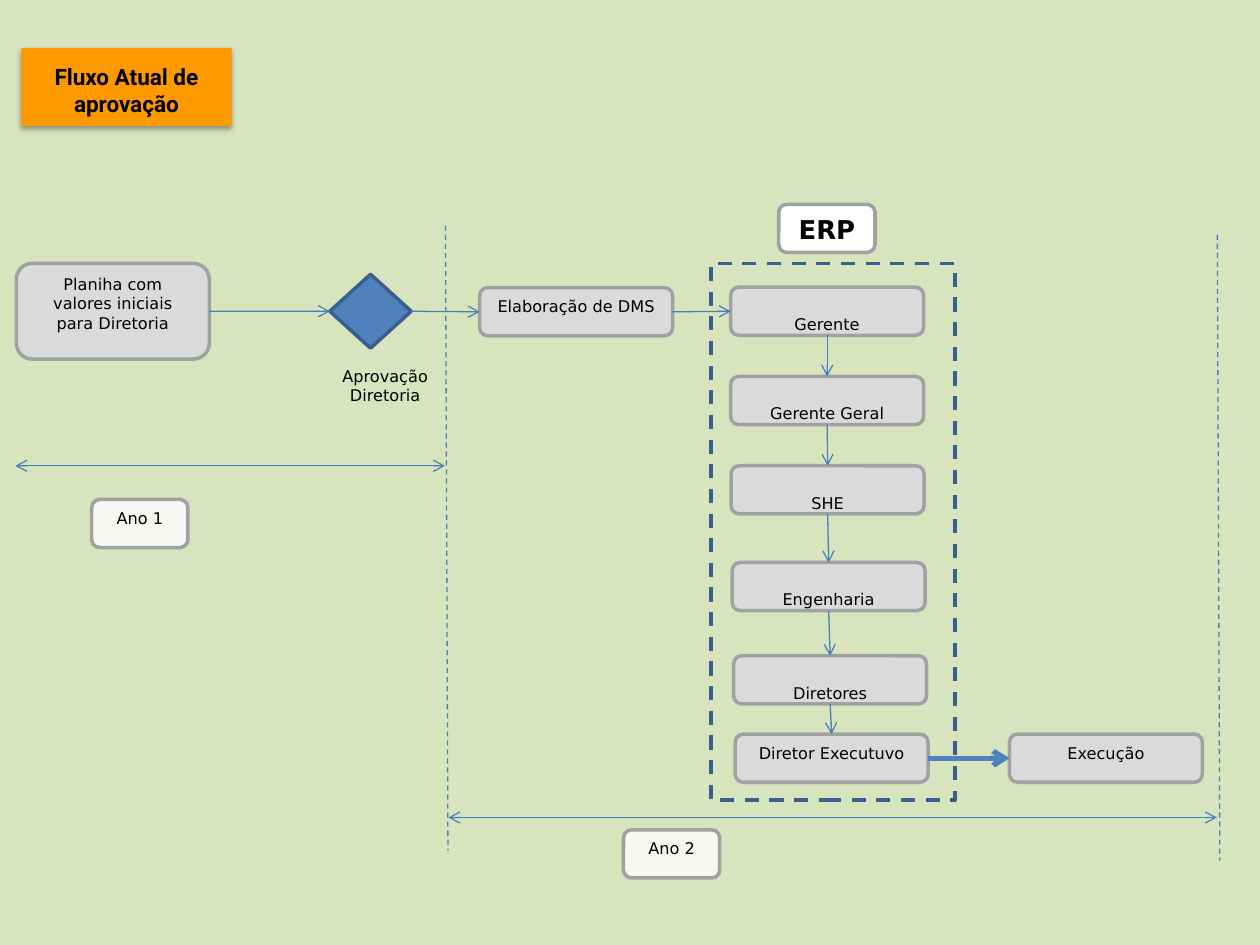
from dataclasses import dataclass
from itertools import pairwise

from lxml.etree import SubElement
from pptx import Presentation
from pptx.dml.color import RGBColor
from pptx.enum.dml import MSO_LINE
from pptx.enum.shapes import MSO_CONNECTOR, MSO_SHAPE
from pptx.enum.text import MSO_ANCHOR, PP_ALIGN
from pptx.oxml.ns import qn
from pptx.util import Cm, Pt

TOP, LEFT, BOTTOM, RIGHT = range(4)  # connection sites


@dataclass(frozen=True)
class Theme:
    background: str = "D7E4BD"
    title_fill: str = "FF9900"
    step: str = "DADADA"
    period: str = "F8F7F3"
    system: str = "FFFFFF"
    border: str = "A1A1A1"
    decision: str = "4F81BD"
    decision_border: str = "3A5F8C"
    arrow: str = "4B7EBC"
    text: str = "000000"
    font: str = "DejaVu Sans"
    title_font: str = "Roboto"
    body_size: float = 9.2
    system_size: float = 14.8
    title_size: float = 12.9
    border_width: float = 2
    arrow_width: float = 0.75
    bold_arrow_width: float = 3


THEME = Theme()


def write_text(shape, text, *, size=THEME.body_size, font=THEME.font, bold=False,
               anchor=MSO_ANCHOR.TOP, top_margin=0.13):
    frame = shape.text_frame
    frame.word_wrap = True
    frame.vertical_anchor = anchor
    frame.margin_top = Cm(top_margin)
    frame.margin_bottom = Cm(0)
    paragraph = frame.paragraphs[0]
    paragraph.alignment = PP_ALIGN.CENTER
    run = paragraph.add_run()
    run.text = text
    run.font.size = Pt(size)
    run.font.name = font
    run.font.bold = bold
    run.font.color.rgb = RGBColor.from_string(THEME.text)


class FlowSlide:
    def __init__(self, slide, theme):
        self.slide, self.theme = slide, theme
        slide.background.fill.solid()
        slide.background.fill.fore_color.rgb = RGBColor.from_string(theme.background)

    def block(self, left, top, width, height, kind=MSO_SHAPE.ROUNDED_RECTANGLE,
              fill=None, border=None, dashed=False):
        shape = self.slide.shapes.add_shape(kind, Cm(left), Cm(top), Cm(width), Cm(height))
        shape.shadow.inherit = False
        if fill:
            shape.fill.solid()
            shape.fill.fore_color.rgb = RGBColor.from_string(fill)
        else:
            shape.fill.background()
        if border:
            shape.line.color.rgb = RGBColor.from_string(border)
            shape.line.width = Pt(self.theme.border_width)
            if dashed:
                shape.line.dash_style = MSO_LINE.DASH
        else:
            shape.line.fill.background()
        return shape

    def step(self, text, left, top, width=3.89, height=0.97, fill=None, **text_format):
        shape = self.block(left, top, width, height, fill=fill or self.theme.step,
                           border=self.theme.border)
        write_text(shape, text, **text_format)
        return shape

    def title(self, text, left, top, width, height):
        shape = self.block(left, top, width, height, MSO_SHAPE.RECTANGLE,
                           self.theme.title_fill)
        write_text(shape, text, size=self.theme.title_size, font=self.theme.title_font,
                   bold=True, anchor=MSO_ANCHOR.MIDDLE)
        effects = shape._element.spPr.find(qn("a:effectLst"))
        shadow = SubElement(effects, qn("a:outerShdw"), blurRad=str(Pt(3.1)),
                            dist=str(Pt(1.8)), dir="5400000", rotWithShape="0")
        color = SubElement(shadow, qn("a:srgbClr"), val="000000")
        SubElement(color, qn("a:alpha"), val="35000")

    def line(self, x1=0, y1=0, x2=0, y2=0, color=None, width=None, dashed=False, ends=()):
        connector = self.slide.shapes.add_connector(
            MSO_CONNECTOR.STRAIGHT, Cm(x1), Cm(y1), Cm(x2), Cm(y2))
        connector.line.color.rgb = RGBColor.from_string(color or self.theme.arrow)
        connector.line.width = Pt(width or self.theme.arrow_width)
        if dashed:
            connector.line.dash_style = MSO_LINE.DASH
        properties = connector._element.spPr
        for end in ends:
            SubElement(properties.find(qn("a:ln")), qn(f"a:{end}"), type="arrow")
        SubElement(properties, qn("a:effectLst"))
        return connector

    def link(self, source, target, leave=RIGHT, enter=LEFT, **line_format):
        connector = self.line(ends=("tailEnd",), **line_format)
        connector.begin_connect(source, leave)
        connector.end_connect(target, enter)


def main():
    presentation = Presentation()
    presentation.slide_width, presentation.slide_height = Cm(25.4), Cm(19.05)
    flow = FlowSlide(presentation.slides.add_slide(presentation.slide_layouts[6]), THEME)

    flow.title("Fluxo Atual de aprovação", 0.43, 0.97, 4.24, 1.57)

    # Year 1: spreadsheet and board decision
    spreadsheet = flow.step("Planiha com valores iniciais para Diretoria",
                            0.33, 5.31, height=1.93)
    decision = flow.block(6.65, 5.53, 1.64, 1.49, MSO_SHAPE.DIAMOND,
                          THEME.decision, THEME.decision_border)
    write_text(flow.block(5.82, 7.16, 3.89, 1.93), "Aprovação Diretoria")

    # Year 2: approval chain inside the system frame
    request = flow.step("Elaboração de DMS", 9.67, 5.8)
    flow.block(14.33, 5.31, 4.92, 10.82, MSO_SHAPE.RECTANGLE,
               border=THEME.decision_border, dashed=True)
    flow.step("ERP", 15.7, 4.12, 1.94, fill=THEME.system,
              size=THEME.system_size, bold=True)
    low_text = 0.5
    approvers = [
        flow.step(role, left, top, top_margin=margin)
        for role, left, top, margin in (
            ("Gerente", 14.73, 5.79, low_text),
            ("Gerente Geral", 14.73, 7.59, low_text),
            ("SHE", 14.74, 9.39, low_text),
            ("Engenharia", 14.76, 11.34, low_text),
            ("Diretores", 14.79, 13.22, low_text),
            ("Diretor Executuvo", 14.82, 14.8, 0.13),
        )
    ]
    execution = flow.step("Execução", 20.35, 14.8)

    # Arrows between steps
    for source, target in pairwise((spreadsheet, decision, request, approvers[0])):
        flow.link(source, target)
    for source, target in pairwise(approvers):
        flow.link(source, target, BOTTOM, TOP)
    flow.link(approvers[-1], execution, color=THEME.decision,
              width=THEME.bold_arrow_width)

    # Period limits, spans and labels
    flow.line(8.98, 4.55, 9.03, 17.15, dashed=True)
    flow.line(24.54, 4.73, 24.59, 17.35, dashed=True)
    for label, start, end, span_top, left, top in (
        ("Ano 1", 0.31, 8.97, 9.39, 1.85, 10.07),
        ("Ano 2", 9.04, 24.53, 16.48, 12.57, 16.73),
    ):
        flow.line(start, span_top, end, span_top, ends=("headEnd", "tailEnd"))
        flow.step(label, left, top, 1.94, fill=THEME.period)

    presentation.save("out.pptx")


if __name__ == "__main__":
    main()
